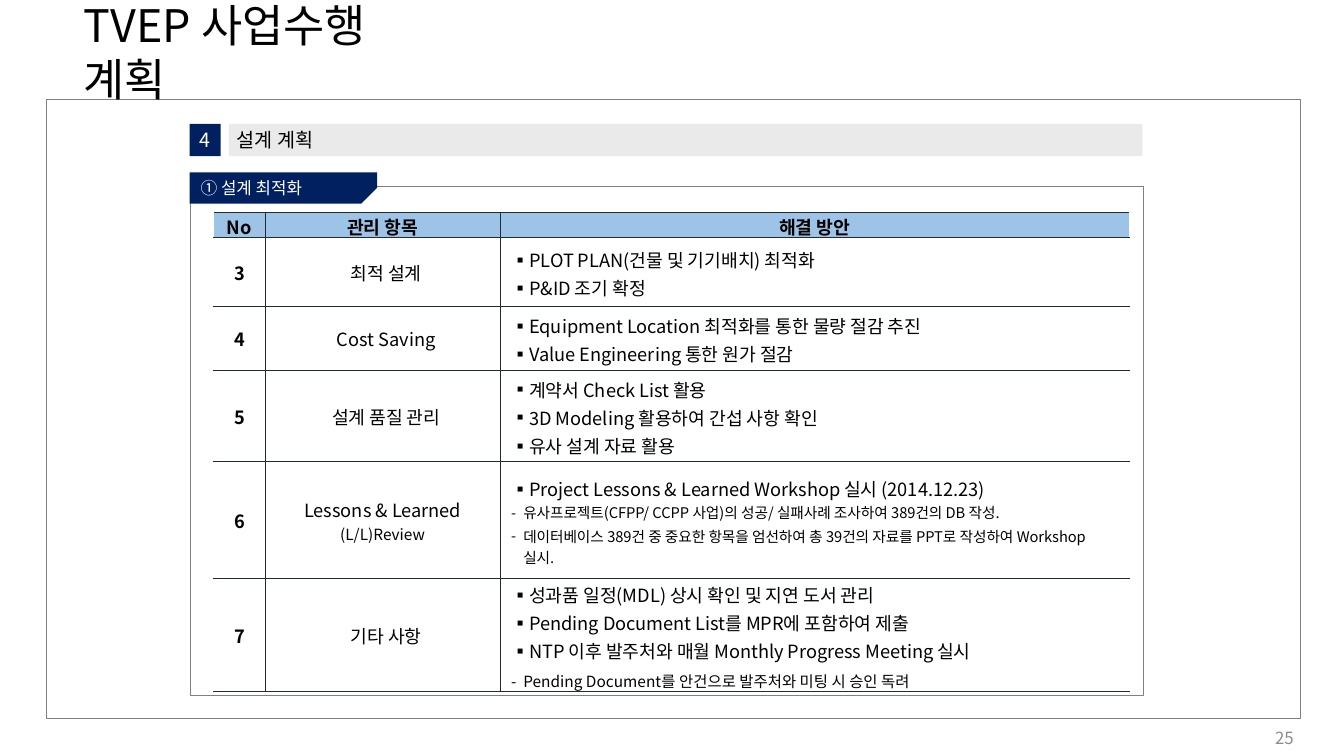
from dataclasses import dataclass

from lxml import etree
from pptx import Presentation
from pptx import util as u
from pptx.dml.color import RGBColor
from pptx.enum import shapes, text
from pptx.oxml import ns

FONT = "Noto Sans CJK KR"
BLACK = RGBColor(0x00, 0x00, 0x00)
WHITE = RGBColor(0xFF, 0xFF, 0xFF)
NAVY = RGBColor(0x00, 0x20, 0x60)
GRAY = RGBColor(0x80, 0x80, 0x80)
PAGE_GRAY = RGBColor(0x8C, 0x8C, 0x8C)
BAND = RGBColor(0xEA, 0xEA, 0xEA)
HEADER_BLUE = RGBColor(0x9D, 0xC3, 0xE6)
RULE = RGBColor(0x22, 0x2A, 0x35)

LEFT, CENTER = text.PP_ALIGN.LEFT, text.PP_ALIGN.CENTER
RECT = shapes.MSO_SHAPE.RECTANGLE


@dataclass
class Line:
    words: str
    size: float = 13
    bullet: str = ""
    hanging: float = 0
    spacing: float | None = None
    before: float = 0


@dataclass
class Item:
    number: str
    label: list[Line]
    actions: list[Line]
    height: float


def action(words: str) -> Line:
    return Line(words, bullet="▪", hanging=0.16, spacing=20)


def detail(words: str, size: float = 10.5, spacing: float | None = None, before: float = 0) -> Line:
    return Line(words, size, "-", 0.12, spacing, before)


ITEMS = [
    Item("3", [Line("최적 설계")],
         [action("PLOT PLAN(건물 및 기기배치) 최적화"), action("P&ID 조기 확정")], 0.68),
    Item("4", [Line("Cost Saving")],
         [action("Equipment Location 최적화를 통한 물량 절감 추진"),
          action("Value Engineering 통한 원가 절감")], 0.63),
    Item("5", [Line("설계 품질 관리")],
         [action("계약서 Check List 활용"),
          action("3D Modeling 활용하여 간섭 사항 확인"),
          action("유사 설계 자료 활용")], 0.91),
    Item("6", [Line("Lessons & Learned"), Line("(L/L)Review", 11)],
         [action("Project Lessons & Learned Workshop 실시 (2014.12.23)"),
          detail("유사프로젝트(CFPP/ CCPP 사업)의 성공/ 실패사례 조사하여 389건의 DB 작성."),
          detail("데이터베이스 389건 중 중요한 항목을 엄선하여 총 39건의 자료를 PPT로 작성하여 "
                 "Workshop 실시.", before=1.5)], 1.16),
    Item("7", [Line("기타 사항")],
         [action("성과품 일정(MDL) 상시 확인 및 지연 도서 관리"),
          action("Pending Document List를 MPR에 포함하여 제출"),
          action("NTP 이후 발주처와 매월 Monthly Progress Meeting 실시"),
          detail("Pending Document를 안건으로 발주처와 미팅 시 승인 독려", 11, 20)], 1.12),
]
HEADINGS = ["No", "관리 항목", "해결 방안"]
COLUMN_WIDTHS = [0.51, 2.33, 6.24]
HEADER_HEIGHT = 0.25
BULLET_LEFT = 0.1


def write(frame, lines: list[Line], color: RGBColor = BLACK, align=LEFT, bold: bool = False) -> None:
    for index, line in enumerate(lines):
        paragraph = frame.paragraphs[0] if index == 0 else frame.add_paragraph()
        paragraph.text = line.words
        paragraph.alignment = align
        properties = paragraph._p.get_or_add_pPr()
        if line.bullet:
            properties.set("marL", str(u.Inches(BULLET_LEFT + line.hanging)))
            properties.set("indent", str(u.Inches(-line.hanging)))
            etree.SubElement(properties, ns.qn("a:buFont"), typeface=FONT)
            etree.SubElement(properties, ns.qn("a:buChar"), char=line.bullet)
        if line.spacing:
            paragraph.line_spacing = u.Pt(line.spacing)
        if line.before:
            paragraph.space_before = u.Pt(line.before)
        font = paragraph.font
        font.name, font.size, font.bold = FONT, u.Pt(line.size), bold
        font.color.rgb = color
        etree.SubElement(font._element, ns.qn("a:ea"), typeface=FONT)


def set_insets(holder, left: float, top: float, right: float, bottom: float) -> None:
    holder.margin_left, holder.margin_top = u.Inches(left), u.Inches(top)
    holder.margin_right, holder.margin_bottom = u.Inches(right), u.Inches(bottom)


def add_panel(parent, kind, box: tuple, fill: RGBColor | None = None, line_width: float = 0):
    panel = parent.add_shape(kind, *map(u.Inches, box))
    panel.shadow.inherit = False
    if fill is None:
        panel.fill.background()
    else:
        panel.fill.solid()
        panel.fill.fore_color.rgb = fill
    if line_width:
        panel.line.color.rgb = GRAY
        panel.line.width = u.Pt(line_width)
    else:
        panel.line.fill.background()
    return panel


def add_label(parent, box: tuple, line: Line, color: RGBColor, align=LEFT,
              insets: tuple = (0.1, 0.05, 0.1, 0.05), wrap: bool = True) -> None:
    frame = parent.add_textbox(*map(u.Inches, box)).text_frame
    frame.word_wrap = wrap
    frame.vertical_anchor = text.MSO_ANCHOR.MIDDLE
    set_insets(frame, *insets)
    write(frame, [line], color, align)


def add_heading_block(parent, box: tuple, fill: RGBColor, words: str, color: RGBColor, align) -> None:
    frame = add_panel(parent, RECT, box, fill).text_frame
    frame.word_wrap = True
    frame.vertical_anchor = text.MSO_ANCHOR.MIDDLE
    set_insets(frame, 0.08, 0.08, 0.08, 0.08)
    write(frame, [Line(words, 14)], color, align)


def set_border(cell, side: str, color: RGBColor, width: float) -> None:
    border = etree.Element(ns.qn(f"a:{side}"), w=str(u.Pt(width)))
    paint = etree.SubElement(border, ns.qn("a:solidFill"))
    etree.SubElement(paint, ns.qn("a:srgbClr"), val=str(color))
    properties = cell._tc.get_or_add_tcPr()
    properties.insert(len(properties.findall("*")) - 1, border)


def style_cell(cell, row: int, column: int) -> None:
    last_row, last_column = len(ITEMS), len(HEADINGS) - 1
    cell.vertical_anchor = text.MSO_ANCHOR.MIDDLE
    set_insets(cell, 0.01, 0.01, 0.01, 0)
    if row == 0:
        cell.fill.solid()
        cell.fill.fore_color.rgb = HEADER_BLUE
    else:
        cell.fill.background()
    edges = {
        "lnL": (WHITE, 1) if column == 0 else (RULE, 0.25),
        "lnR": (WHITE, 1) if column == last_column else (RULE, 0.25),
        "lnT": (RULE, 1 if row <= 1 else 0.25),
        "lnB": (RULE, 1 if row in (0, last_row) else 0.25),
    }
    for side, (color, width) in edges.items():
        set_border(cell, side, color, width)


def add_plan_table(parent) -> None:
    heights = [HEADER_HEIGHT] + [item.height for item in ITEMS]
    size = (sum(COLUMN_WIDTHS), sum(heights))
    plan = parent.add_table(len(heights), len(HEADINGS), *map(u.Inches, (2.12, 2.11, *size))).table
    plan.first_row = plan.horz_banding = False
    for column, width in zip(plan.columns, COLUMN_WIDTHS):
        column.width = u.Inches(width)
    contents = [[[Line(heading)] for heading in HEADINGS]]
    contents += [[[Line(item.number)], item.label, item.actions] for item in ITEMS]
    for row, (height, entries) in enumerate(zip(heights, contents)):
        plan.rows[row].height = u.Inches(height)
        for column, lines in enumerate(entries):
            cell = plan.cell(row, column)
            style_cell(cell, row, column)
            if row and column == 1 and len(lines) == 1:
                cell.margin_left = u.Inches(0.08)
            if row and column == 2:
                cell.margin_right = u.Inches(0.4)
            write(cell.text_frame, lines, align=LEFT if row and column == 2 else CENTER,
                  bold=row == 0 or column == 0)


def main() -> None:
    deck = Presentation()
    deck.slide_width, deck.slide_height = u.Inches(13.33), u.Inches(7.5)
    parts = deck.slides.add_slide(deck.slide_layouts[6]).shapes

    add_panel(parts, RECT, (0.46, 0.99, 12.44, 6.14), line_width=1)
    add_label(parts, (0.73, 0.19, 3.9, 0.64), Line("TVEP 사업수행 계획", 32), BLACK)

    section = parts.add_group_shape().shapes
    add_heading_block(section, (1.88, 1.23, 0.31, 0.32), NAVY, "4", WHITE, CENTER)
    add_heading_block(section, (2.27, 1.23, 9.06, 0.32), BAND, "설계 계획", BLACK, LEFT)

    add_panel(parts, RECT, (1.89, 1.85, 9.45, 5.05), line_width=0.75)
    topic = parts.add_group_shape().shapes
    tab = add_panel(topic, shapes.MSO_SHAPE.SNIP_1_RECTANGLE, (1.88, 1.71, 1.86, 0.31), NAVY)
    tab.adjustments[0] = 0.5
    tab._element.spPr.xfrm.set("flipV", "1")
    add_label(topic, (1.89, 1.7, 2.12, 0.32), Line("① 설계 최적화", 12), WHITE,
              insets=(0.1, 0, 0, 0), wrap=False)

    add_label(parts, (12.45, 7.14, 0.58, 0.35), Line("25", 12), PAGE_GRAY, CENTER)
    add_plan_table(parts)
    deck.save("out.pptx")


if __name__ == "__main__":
    main()
